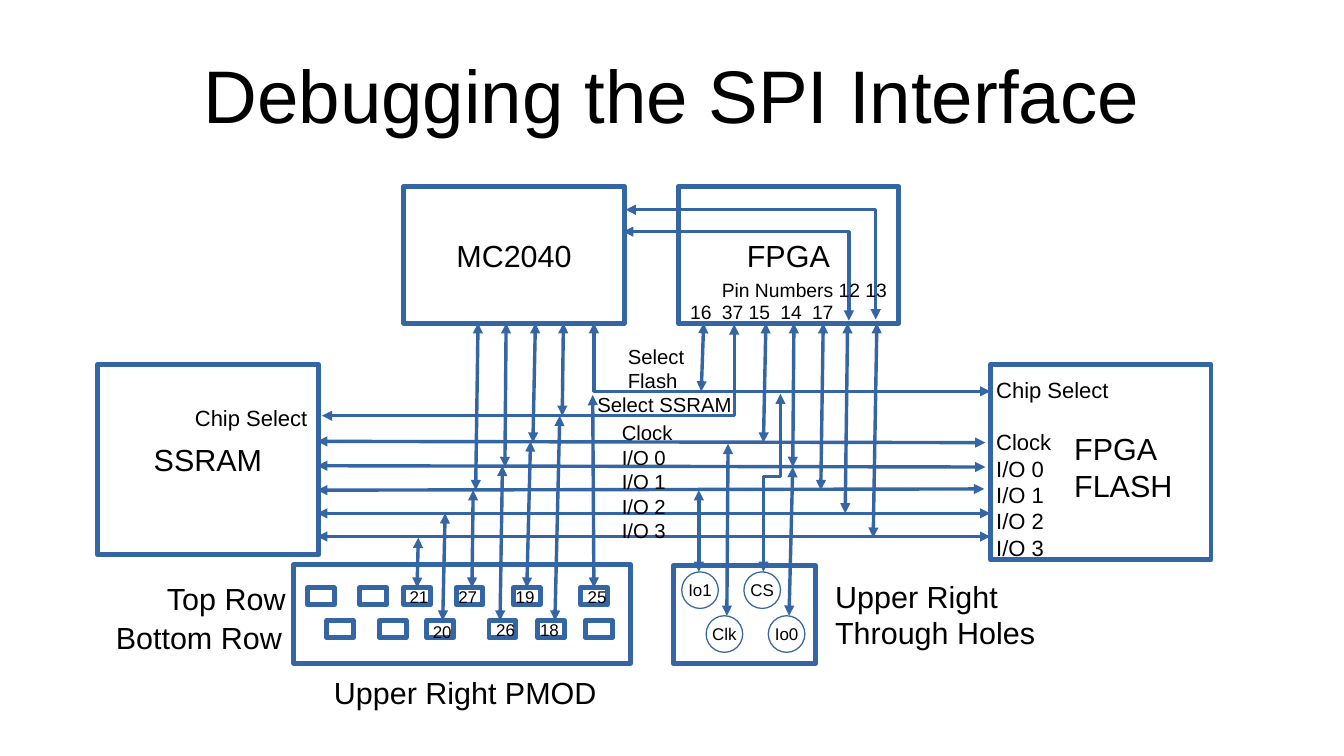
"""Build the slide that maps the SPI signals between chips and test headers."""
import pptx
import pptx.dml.color
import pptx.enum.shapes
import pptx.enum.text
import pptx.oxml.ns
import pptx.util
from lxml import etree

PX = 9144
BLUE = pptx.dml.color.RGBColor(0x34, 0x65, 0xA4)
WHITE = pptx.dml.color.RGBColor(0xFF, 0xFF, 0xFF)
BLACK = pptx.dml.color.RGBColor(0x00, 0x00, 0x00)
FONT = "Arial"
ALIGN = pptx.enum.text.PP_ALIGN
ANCHOR = pptx.enum.text.MSO_ANCHOR
SHAPE = pptx.enum.shapes.MSO_SHAPE
CONNECTOR = pptx.enum.shapes.MSO_CONNECTOR
qn = pptx.oxml.ns.qn

CHIPS = [
    ("", 552, 464, 117, 80),
    ("", 241, 463, 276, 81),
    ("MC2040", 331, 153, 181, 112),
    ("FPGA", 556, 153, 181, 112),
    ("", 812, 299, 181, 160),
    ("SSRAM", 80, 299, 181, 156),
]
PMOD_ROWS = {482: [252, 295, 331, 374, 421, 476], 509: [268, 311, 350, 401, 441, 480]}
PMOD_PINS = [
    ("21", 326, 476), ("27", 366, 476), ("19", 413, 476), ("25", 472, 476),
    ("20", 345, 505), ("26", 397, 503), ("18", 433, 503),
]
HOLE_ROWS = {469: (559, ["Io1", "CS"]), 505: (579, ["Clk", "Io0"])}
HOLE_PITCH = 51
BUS_SIGNALS = ["Clock", "I/O 0", "I/O 1", "I/O 2", "I/O 3"]
BUS_LINES = [(362, 808, 363), (382, 808, 383), (402, 807, 401), (421, 812, 421), (440, 812, 440)]
CHIP_TAPS = [
    (415, 414, 383), (392, 390, 402), (462, 461, 341), (439, 437, 363),
    (651, 650, 383), (719, 716, 441), (675, 673, 402), (695, 693, 421),
    (577, 575, 321), (628, 626, 363),
]
HEADER_TAPS = [
    (486, 324, 487, 482), (342, 482, 343, 441), (363, 509, 365, 421),
    (387, 482, 388, 402), (432, 482, 435, 362), (410, 509, 412, 382),
    (459, 341, 455, 509), (573, 469, 573, 402), (596, 505, 597, 364),
    (647, 505, 650, 383),
]
CORNER_WIRES = [
    (812, 321, 487, 265), (264, 341, 602, 266),
    (513, 172, 718, 262), (511, 190, 696, 263),
]
FPGA_PINS = [("16", 556), ("37", 582), ("15", 604), ("14", 630), ("17", 656)]
CAPTIONS = [
    ("Upper Right PMOD", 264, 548, 260, 38, 18),
    ("Upper Right\nThrough Holes", 675, 469, 210, 68, 18),
    ("FPGA\nFLASH", 871, 348, 120, 66, 18),
    ("Select\nFlash", 505, 277, 90, 47, 12),
    ("Select SSRAM", 480, 317, 147, 29, 12),
    ("Pin Numbers 12 13", 582, 223, 175, 30, 11.4),
    ("Chip Select", 150, 327, 130, 30, 13),
]


def px(*lengths):
    """Turn lengths in px into EMU."""
    return [pptx.util.Emu(length * PX) for length in lengths]


def write(frame, text, size=18, align=ALIGN.LEFT, anchor=ANCHOR.TOP,
          inset=(10, 5), wrap=True, gaps=None):
    """Fill a text frame, one paragraph a line, with gaps in points by line."""
    frame.word_wrap = wrap
    frame.vertical_anchor = anchor
    frame.margin_left = frame.margin_right = px(inset[0])[0]
    frame.margin_top = frame.margin_bottom = px(inset[1])[0]
    for index, line in enumerate(text.split("\n")):
        paragraph = frame.paragraphs[0] if index == 0 else frame.add_paragraph()
        paragraph.alignment = align
        paragraph.space_before = pptx.util.Pt((gaps or {}).get(index, 0))
        run = paragraph.add_run()
        run.text = line
        run.font.name = FONT
        run.font.size = pptx.util.Pt(size)
        run.font.color.rgb = BLACK


def label(slide, text, left, top, width, height, **text_format):
    """Place text in a box of its own."""
    write(slide.shapes.add_textbox(*px(left, top, width, height)).text_frame,
          text, **text_format)


def block(slide, kind, left, top, width, height, weight=2.89, text="", **text_format):
    """Draw a white outlined shape, with centred text if there is any."""
    outline = slide.shapes.add_shape(kind, *px(left, top, width, height))
    outline.shadow.inherit = False
    outline.fill.solid()
    outline.fill.fore_color.rgb = WHITE
    outline.line.color.rgb = BLUE
    outline.line.width = pptx.util.Pt(weight)
    if text:
        write(outline.text_frame, text, align=ALIGN.CENTER, anchor=ANCHOR.MIDDLE,
              **text_format)


def wire(slide, x1, y1, x2, y2, kind=CONNECTOR.STRAIGHT):
    """Draw a hairline connector with an arrowhead at each end."""
    signal = slide.shapes.add_connector(kind, *px(x1, y1, x2, y2))
    signal.line.color.rgb = BLUE
    signal.line.width = pptx.util.Pt(0)
    stroke = signal.line._get_or_add_ln()
    for end in ("a:headEnd", "a:tailEnd"):
        etree.SubElement(stroke, qn(end), type="triangle")
    etree.SubElement(signal._element.spPr, qn("a:effectLst"))
    return signal


def corner_wire(slide, *ends):
    """Draw a wire that runs across and then turns once."""
    signal = wire(slide, *ends, kind=CONNECTOR.ELBOW)
    signal._element.spPr.find(qn("a:prstGeom")).set("prst", "bentConnector2")


def chip_select_wire(slide):
    """Draw the stepped wire that rises from the CS hole."""
    signal = wire(slide, 706, 403, 560, 389, kind=CONNECTOR.ELBOW)
    properties = signal._element.spPr
    properties.find(qn("a:xfrm")).set("rot", "5400000")
    adjustments = properties.find(qn("a:prstGeom")).find(qn("a:avLst"))
    etree.SubElement(adjustments, qn("a:gd"), name="adj1", fmla="val 53600")


def draw_blocks(slide):
    """Draw the chips, the PMOD slots and the through holes."""
    for name, *place in CHIPS:
        block(slide, SHAPE.RECTANGLE, *place, text=name, inset=(12, 7))
    for top, lefts in PMOD_ROWS.items():
        for left in lefts:
            block(slide, SHAPE.RECTANGLE, left, top, 22, 14)
    for top, (first, names) in HOLE_ROWS.items():
        for column, name in enumerate(names):
            block(slide, SHAPE.OVAL, first + column * HOLE_PITCH, top, 30, 30,
                  weight=0, text=name, size=10, inset=(0, 0), wrap=False)


def draw_wires(slide):
    """Draw the bus, its taps and the bent wires."""
    for y1, x2, y2 in BUS_LINES:
        wire(slide, 260, y1, x2, y2)
    for x1, x2, y2 in CHIP_TAPS:
        wire(slide, x1, 265, x2, y2)
    for ends in HEADER_TAPS:
        wire(slide, *ends)
    for ends in CORNER_WIRES:
        corner_wire(slide, *ends)
    chip_select_wire(slide)


def draw_labels(slide):
    """Write the title, the captions, the signals and the pin numbers."""
    label(slide, "Debugging the SPI Interface", 55, 25, 992, 104, size=44,
          align=ALIGN.CENTER, anchor=ANCHOR.MIDDLE, inset=(0, 0))
    label(slide, "Top Row", 85, 471, 159, 38, align=ALIGN.RIGHT)
    label(slide, "Bottom Row", 81, 503, 160, 38, align=ALIGN.RIGHT)
    for text, left, top, width, height, size in CAPTIONS:
        label(slide, text, left, top, width, height, size=size)
    for row, signal in enumerate(BUS_SIGNALS):
        label(slide, signal, 500, 340 + 20 * row, 80, 29, size=12)
    label(slide, "\n".join(["Chip Select"] + BUS_SIGNALS), 807, 304, 130, 151,
          size=13, gaps={1: 15})
    for pin, left in FPGA_PINS:
        label(slide, pin, left, 241, 45, 28, size=11.4)
    for pin, left, top in PMOD_PINS:
        label(slide, pin, left, top, 45, 25, size=10)


def main():
    """Build and save the slide."""
    deck = pptx.Presentation()
    deck.slide_width, deck.slide_height = px(1102, 620)
    slide = deck.slides.add_slide(deck.slide_layouts[6])
    draw_blocks(slide)
    draw_wires(slide)
    draw_labels(slide)
    deck.save("out.pptx")


if __name__ == "__main__":
    main()
